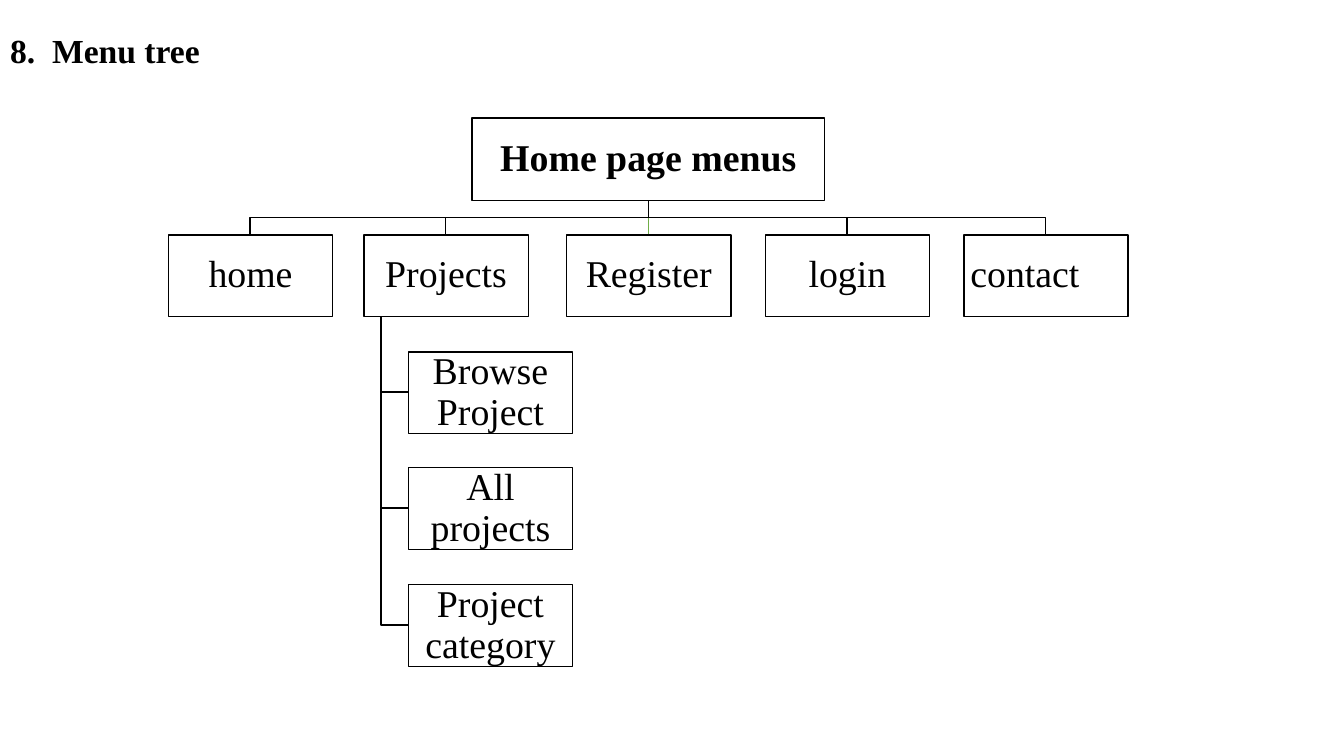
"""Build the menu tree slide."""
from typing import Any, NamedTuple

from pptx import Presentation
from pptx.dml.color import RGBColor
from pptx.enum.shapes import MSO_CONNECTOR, MSO_SHAPE
from pptx.enum.text import MSO_ANCHOR, MSO_AUTO_SIZE, PP_ALIGN
from pptx.oxml.ns import qn
from pptx.util import Pt

PX = 9144
RECT = MSO_SHAPE.RECTANGLE
LINE = MSO_CONNECTOR.STRAIGHT
MIDDLE = MSO_ANCHOR.MIDDLE
FIXED = MSO_AUTO_SIZE.NONE
LEFT, CENTER = PP_ALIGN.LEFT, PP_ALIGN.CENTER
COLORS = {"ink": "000000", "paper": "FFFFFF", "green": "70AD47"}
FACE = {"name": "Times New Roman"}
FRAME = {"word_wrap": True, "auto_size": FIXED, "vertical_anchor": MIDDLE}
INSETS = {f"margin_{side}": 2 * PX for side in ("left", "right", "top", "bottom")}


class Node(NamedTuple):
    text: str
    x: int
    y: int
    w: int = 163
    h: int = 81
    bold: bool = False

    @property
    def mid(self) -> int:
        return self.x + self.w // 2

    @property
    def base(self) -> int:
        return self.y + self.h


ROOT = Node("Home page menus", 468, 117, 350, 82, True)
MENUS = [
    Node(text, x, 233)
    for text, x in (
        ("home", 167),
        ("Projects", 361),
        ("Register", 562),
        ("login", 759),
        ("contact\t", 956),
    )
]
ITEMS = [
    Node(text, 405, 349 + row * 231 // 2)
    for row, text in enumerate(("Browse Project", "All projects", "Project category"))
]


def color(name: str) -> RGBColor:
    return RGBColor.from_string(COLORS[name])


def apply(target: Any, values: dict[str, Any]) -> None:
    for name, value in values.items():
        setattr(target, name, value)


def write(frame: Any, text: str, size: int, bold: bool, align: Any) -> None:
    apply(frame, FRAME)
    para = frame.paragraphs[0]
    apply(para, {"alignment": align, "line_spacing": 0.9})
    run = para.add_run()
    run.text = text
    apply(run.font, FACE | {"size": Pt(size), "bold": bold})
    run.font.color.rgb = color("ink")


def stroke(shape: Any, name: str) -> None:
    shape.line.color.rgb = color(name)
    shape.line.width = Pt(1)


def draw_box(shapes: Any, node: Node) -> None:
    box = shapes.add_shape(RECT, *(v * PX for v in (node.x, node.y, node.w, node.h)))
    box.shadow.inherit = False
    box.fill.solid()
    box.fill.fore_color.rgb = color("paper")
    stroke(box, "ink")
    apply(box.text_frame, INSETS)
    write(box.text_frame, node.text, 27, node.bold, CENTER)


def draw_elbow(shapes: Any, points: list[tuple[int, int]]) -> None:
    pen = shapes.build_freeform(*points[0], scale=PX)
    pen.add_line_segments(points[1:], close=False)
    elbow = pen.convert_to_shape()
    elbow.shadow.inherit = False
    elbow.fill.background()
    stroke(elbow, "ink")


def draw_stem(shapes: Any, x: int, top: int, end: int) -> None:
    stem = shapes.add_connector(LINE, *(v * PX for v in (x, top, x, end)))
    stem._element.spPr.append(stem._element.makeelement(qn("a:effectLst"), {}))
    stroke(stem, "green")


def draw_links(shapes: Any) -> None:
    bus = (ROOT.base + MENUS[0].y) // 2
    for menu in reversed(MENUS):
        if menu.mid == ROOT.mid:
            draw_stem(shapes, ROOT.mid, ROOT.base, menu.y)
        else:
            start, turn = (ROOT.mid, ROOT.base), (ROOT.mid, bus)
            draw_elbow(shapes, [start, turn, (menu.mid, bus), (menu.mid, menu.y)])
    owner = MENUS[1]
    rail = owner.x + 17
    for item in ITEMS:
        level = item.y + item.h // 2
        draw_elbow(shapes, [(rail, owner.base), (rail, level), (item.x, level)])


def main() -> None:
    deck = Presentation()
    apply(deck, {"slide_width": 1333 * PX, "slide_height": 750 * PX})
    slide = deck.slides.add_slide(deck.slide_layouts[5])
    title = slide.shapes.title
    apply(title, {"left": 0, "top": 4 * PX, "width": 1242 * PX, "height": 96 * PX})
    write(title.text_frame, "8.  Menu tree", 24, True, LEFT)
    draw_links(slide.shapes)
    for node in (ROOT, *MENUS, *ITEMS):
        draw_box(slide.shapes, node)
    deck.save("out.pptx")


if __name__ == "__main__":
    main()
